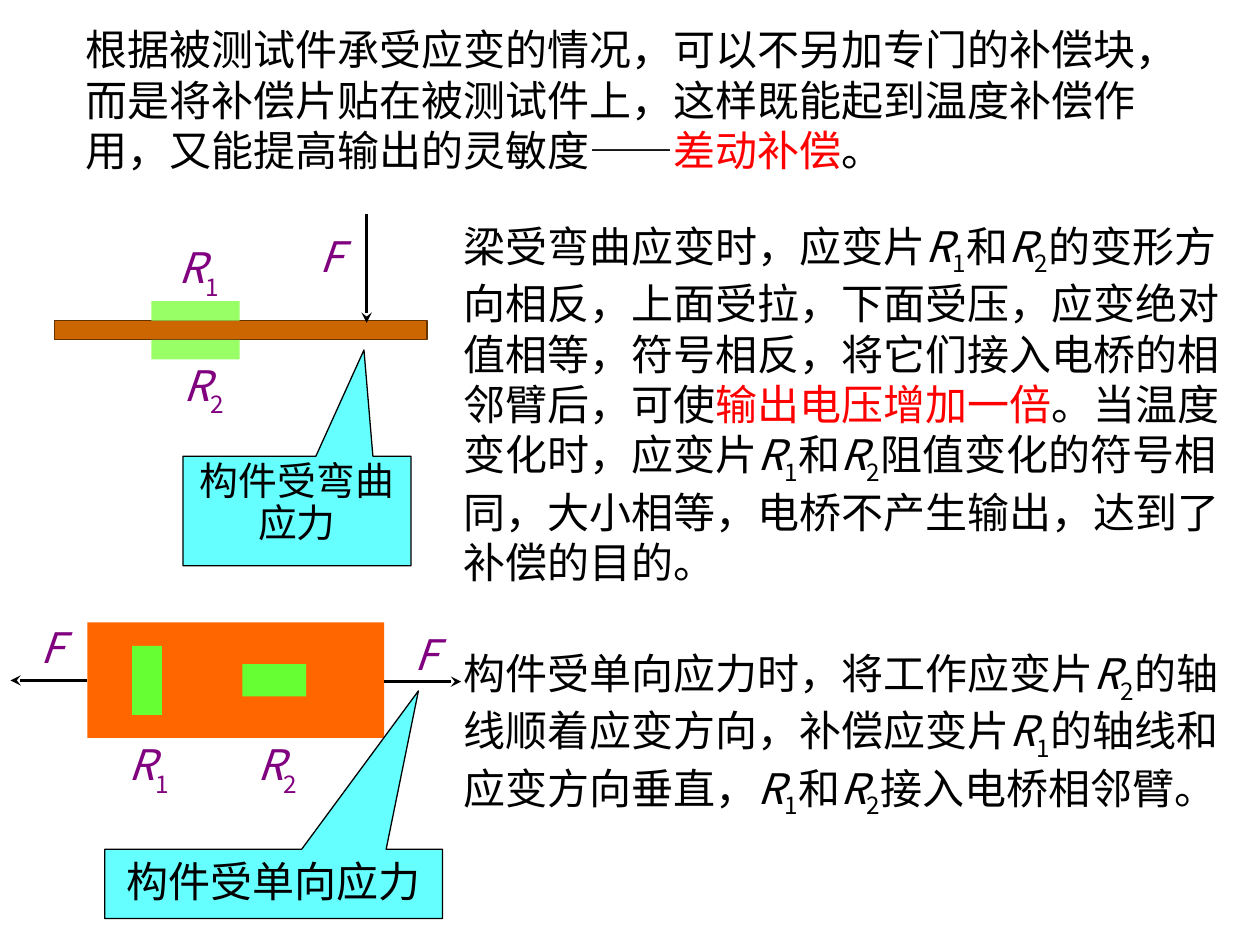
from lxml import etree
from pptx import Presentation
from pptx.dml.color import RGBColor
from pptx.enum import shapes, text
from pptx.oxml import ns
from pptx.util import Pt

FONT = "Noto Sans CJK SC"
COLORS = {
    "ink": "000000", "key": "FF0000", "symbol": "800080",
    "callout": "66FFFF", "beam": "CC6600", "beam_edge": "663300",
    "beam_gauge": "99FF66", "plate": "FF6600", "plate_gauge": "66FF33",
}
KEY_PHRASES = ("差动补偿", "输出电压增加一倍")


def rgb(name):
    return RGBColor.from_string(COLORS[name])


def write(frame, marked, color="ink", size=24, drop=-25, inset=(7.2, 3.6), **paragraph_format):
    """Fill a frame with runs split at "|": letters in italics, digits lowered, key phrases red."""
    side, edge = inset
    frame_format = {
        "word_wrap": True, "vertical_anchor": text.MSO_ANCHOR.TOP,
        "margin_left": Pt(side), "margin_right": Pt(side),
        "margin_top": Pt(edge), "margin_bottom": Pt(edge),
    }
    for name, value in frame_format.items():
        setattr(frame, name, value)
    paragraph = frame.paragraphs[0]
    for name, value in paragraph_format.items():
        setattr(paragraph, name, value)
    for part in marked.split("|"):
        run = paragraph.add_run()
        run.text = part
        run_format = {"size": Pt(size), "name": FONT, "italic": part in ("R", "F")}
        for name, value in run_format.items():
            setattr(run.font, name, value)
        run.font.color.rgb = rgb("key" if part in KEY_PHRASES else color)
        properties = run.font._element
        etree.SubElement(properties, ns.qn("a:ea"), typeface=FONT)
        if part.isdigit():
            properties.set("baseline", str(drop * 1000))


deck = Presentation()
deck.slide_width, deck.slide_height = Pt(720), Pt(540)
slide = deck.slides.add_slide(deck.slide_layouts[6])
canvas = slide.shapes

# Explanations
explanations = [
    (42, 10, 630, 94,
     "根据被测试件承受应变的情况，可以不另加专门的补偿块，而是将补偿片贴在被测试件上，"
     "这样既能起到温度补偿作用，又能提高输出的灵敏度——|差动补偿|。"),
    (258, 122.4, 457, 217,
     "梁受弯曲应变时，应变片|R|1|和|R|2|的变形方向相反，上面受拉，下面受压，应变绝对值相等，"
     "符号相反，将它们接入电桥的相邻臂后，可使|输出电压增加一倍|。当温度变化时，应变片"
     "|R|1|和|R|2|阻值变化的符号相同，大小相等，电桥不产生输出，达到了补偿的目的。"),
    (258, 366.5, 462, 106,
     "构件受单向应力时，将工作应变片|R|2|的轴线顺着应变方向，补偿应变片|R|1|的轴线和"
     "应变方向垂直，|R|1|和|R|2|接入电桥相邻臂。"),
]
for left, top, width, height, marked in explanations:
    explanation = canvas.add_textbox(Pt(left), Pt(top), Pt(width), Pt(height))
    write(explanation.text_frame, marked)

# Beam, plate and their strain gauges
bodies = [
    (31, 183, 213, 11, "beam", "beam_edge"),
    (86.5, 172, 50.5, 11.2, "beam_gauge", None),
    (86.5, 194.2, 50.5, 11.2, "beam_gauge", None),
    (50, 355.7, 169.5, 66, "plate", None),
    (75.5, 369, 17, 39.5, "plate_gauge", None),
    (138.5, 379.5, 36.5, 18.5, "plate_gauge", None),
]
for left, top, width, height, fill, edge in bodies:
    body = canvas.add_shape(shapes.MSO_SHAPE.RECTANGLE, Pt(left), Pt(top), Pt(width), Pt(height))
    body.shadow.inherit = False
    body.fill.solid()
    body.fill.fore_color.rgb = rgb(fill)
    if edge:
        body.line.color.rgb = rgb(edge)
        body.line.width = Pt(0.75)
    else:
        body.line.fill.background()

# Forces
forces = [
    (209.5, 122.5, 209.5, 184.5),
    (219.5, 389.5, 263.5, 389.5),
    (50, 388.8, 6, 388.8),
]
for ends in forces:
    force = canvas.add_connector(shapes.MSO_CONNECTOR.STRAIGHT, *map(Pt, ends))
    force.line.color.rgb = rgb("ink")
    force.line.width = Pt(1.5)
    etree.SubElement(force.line._get_or_add_ln(), ns.qn("a:tailEnd"), type="stealth")
    etree.SubElement(force._element.spPr, ns.qn("a:effectLst"))

# Callouts
callouts = [
    (104.5, 260.7, 130.3, 62.6, (0.294, -1.47), "构件受弯曲应力", 22.2, 0.9),
    (59.8, 485.3, 193, 39.6, (0.429, -2.786), "构件受单向应力", 24, 1.0),
]
for left, top, width, height, tip, caption, size, spacing in callouts:
    callout = canvas.add_shape(shapes.MSO_SHAPE.RECTANGULAR_CALLOUT,
                               Pt(left), Pt(top), Pt(width), Pt(height))
    callout.adjustments[0], callout.adjustments[1] = tip
    callout.shadow.inherit = False
    callout.fill.solid()
    callout.fill.fore_color.rgb = rgb("callout")
    callout.line.color.rgb = rgb("ink")
    callout.line.width = Pt(0.75)
    write(callout.text_frame, caption, size=size,
          alignment=text.PP_ALIGN.CENTER, line_spacing=spacing)

# Symbols on the two drawings
symbols = [
    (83.5, 138.2, 60, 44, "R|1"),
    (86.5, 205.2, 60, 44, "R|2"),
    (159, 131.8, 60, 44, "F"),
    (10, 355, 40, 34.5, "F"),
    (223.2, 359.3, 40, 34.5, "F"),
    (65, 422, 40, 34.5, "R|1"),
    (138.5, 422, 40, 34.5, "R|2"),
]
for left, top, width, height, marked in symbols:
    symbol = canvas.add_textbox(Pt(left), Pt(top), Pt(width), Pt(height))
    write(symbol.text_frame, marked, color="symbol", drop=-30, inset=(0, 0),
          alignment=text.PP_ALIGN.CENTER)

deck.save("out.pptx")
